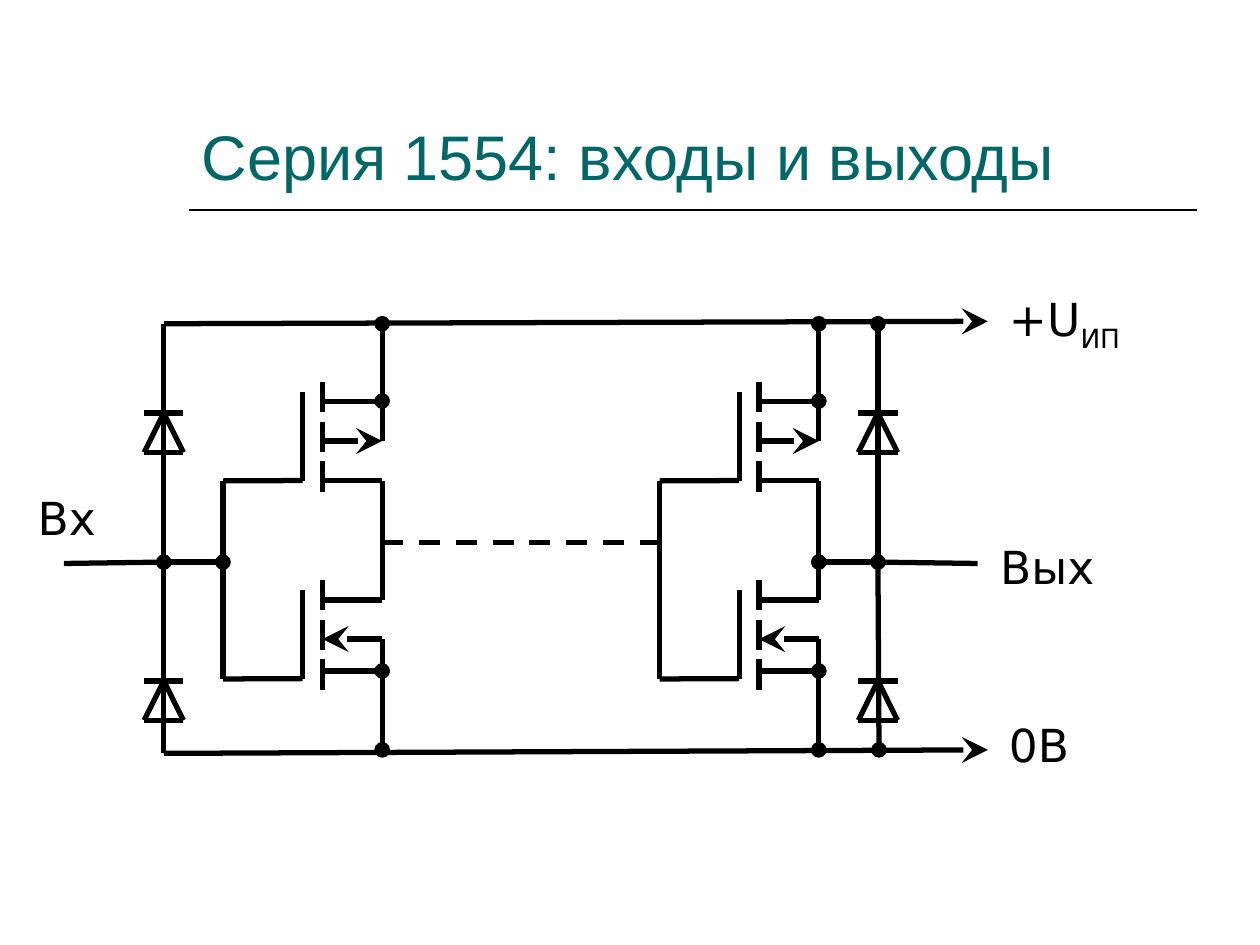
"""Build a slide with the input and output circuit of the 1554 logic series."""
import pptx
import pptx.dml.color
import pptx.enum.dml
import pptx.enum.shapes
import pptx.enum.text
import pptx.oxml
import pptx.oxml.ns
import pptx.util

Pt = pptx.util.Pt


def color(hex_string):
    return pptx.dml.color.RGBColor.from_string(hex_string)


def wire(x1, y1, x2, y2, end=None, width=3):
    connector = slide.shapes.add_connector(
        pptx.enum.shapes.MSO_CONNECTOR.STRAIGHT, Pt(x1), Pt(y1), Pt(x2), Pt(y2))
    connector.line.color.rgb = color("000000")
    connector.line.width = Pt(width)
    namespace = pptx.oxml.ns.nsdecls("a")
    if end:
        size = {"oval": "med", "stealth": "lg"}[end]
        connector.line._get_or_add_ln().append(pptx.oxml.parse_xml(
            f'<a:tailEnd {namespace} type="{end}" w="{size}" len="{size}"/>'))
    connector._element.spPr.append(pptx.oxml.parse_xml(f"<a:effectLst {namespace}/>"))
    return connector


presentation = pptx.Presentation()
presentation.slide_width, presentation.slide_height = Pt(720), Pt(540)
slide = presentation.slides.add_slide(presentation.slide_layouts[5])

title = slide.shapes.title
title.left, title.top, title.width, title.height = Pt(108), Pt(24), Pt(576), Pt(90)
title.text_frame.auto_size = pptx.enum.text.MSO_AUTO_SIZE.NONE
title.text_frame.vertical_anchor = pptx.enum.text.MSO_ANCHOR.BOTTOM
paragraph = title.text_frame.paragraphs[0]
paragraph.alignment = pptx.enum.text.PP_ALIGN.LEFT
run = paragraph.add_run()
run.text = "Серия 1554: входы и выходы"
run.font.name, run.font.size = "Arial", Pt(36)
run.font.color.rgb = color("006666")
wire(108, 120, 684, 120, width=1)

supply_y, middle_y, ground_y = 185, 321.2, 428.5
input_x, output_x = 93.6, 501.7
wire(input_x, supply_y, 564.5, 183.6, "stealth")
wire(input_x, 430.5, 564.5, ground_y, "stealth")

stage_step, transistor_step = 249.5, 113.2
for stage in range(2):
    bus, gate, channel, drain = [
        x + stage * stage_step for x in (127.4, 172.9, 184.3, 218.4)]
    for transistor in range(2):
        shift = transistor * transistor_step
        wire(gate, 223.9 + shift, gate, 274.6 + shift)
        wire(bus, 274.8 + shift, gate, 274.6 + shift)
        for segment in range(3):
            top = 218.2 + shift + segment * 22.7
            wire(channel, top, channel, top + 17.3)
        wire(channel, 229.6 + shift, drain, 229.6 + shift)
    wire(channel, 274.6, drain, 274.6)
    wire(channel, 383.4, drain, 383.4)
    wire(channel, 252, drain, 252, "stealth")
    wire(drain, 365.2, channel, 365.2, "stealth")
    wire(bus, 274.6, bus, 388)
    wire(drain, 274.6, drain, 342.8)
    wire(drain, 252, drain, 229.2, "oval")
    wire(drain, 229.2, drain, supply_y, "oval")
    wire(drain, ground_y, drain, 383.4, "oval")
    wire(drain, 365.2, drain, ground_y, "oval")

link = wire(218.4, 309.8, 376.9, 309.8)
link.line.dash_style = pptx.enum.dml.MSO_LINE.DASH

for center in (input_x, output_x):
    for top in (236, 389.1):
        left, right, bottom = center - 11.2, center + 11.2, top + 22.5
        wire(left, top, right, top)
        wire(left, bottom, right, bottom)
        wire(center, top, left, bottom)
        wire(center, top, right, bottom)

wire(input_x, supply_y, input_x, 430.5)
wire(36.5, 322, input_x, middle_y, "oval")
wire(input_x, middle_y, 127.4, middle_y, "oval")
wire(558.7, 322, output_x, middle_y, "oval")
wire(output_x, middle_y, 467.9, middle_y, "oval")
wire(output_x, middle_y, output_x, supply_y, "oval")
wire(output_x, middle_y, output_x + 0.6, ground_y, "oval")

labels = [
    (14.4, 276.5, 67.7, "Вх", ""),
    (564.5, 304.5, 79.2, "Вых", ""),
    (569.5, 163, 90.7, "+U", "ИП"),
    (569.5, 406.5, 90.7, "0В", ""),
]
for left, top, width, text, subscript in labels:
    label = slide.shapes.add_textbox(Pt(left), Pt(top), Pt(width), Pt(38.9))
    label.text_frame.word_wrap = True
    paragraph = label.text_frame.paragraphs[0]
    for part, baseline in ((text, 0), (subscript, -25000)):
        if part:
            run = paragraph.add_run()
            run.text = part
            run.font.name, run.font.size = "DejaVu Sans", Pt(26)
            run.font.color.rgb = color("000000")
            if baseline:
                run._r.get_or_add_rPr().set("baseline", str(baseline))

presentation.save("out.pptx")
